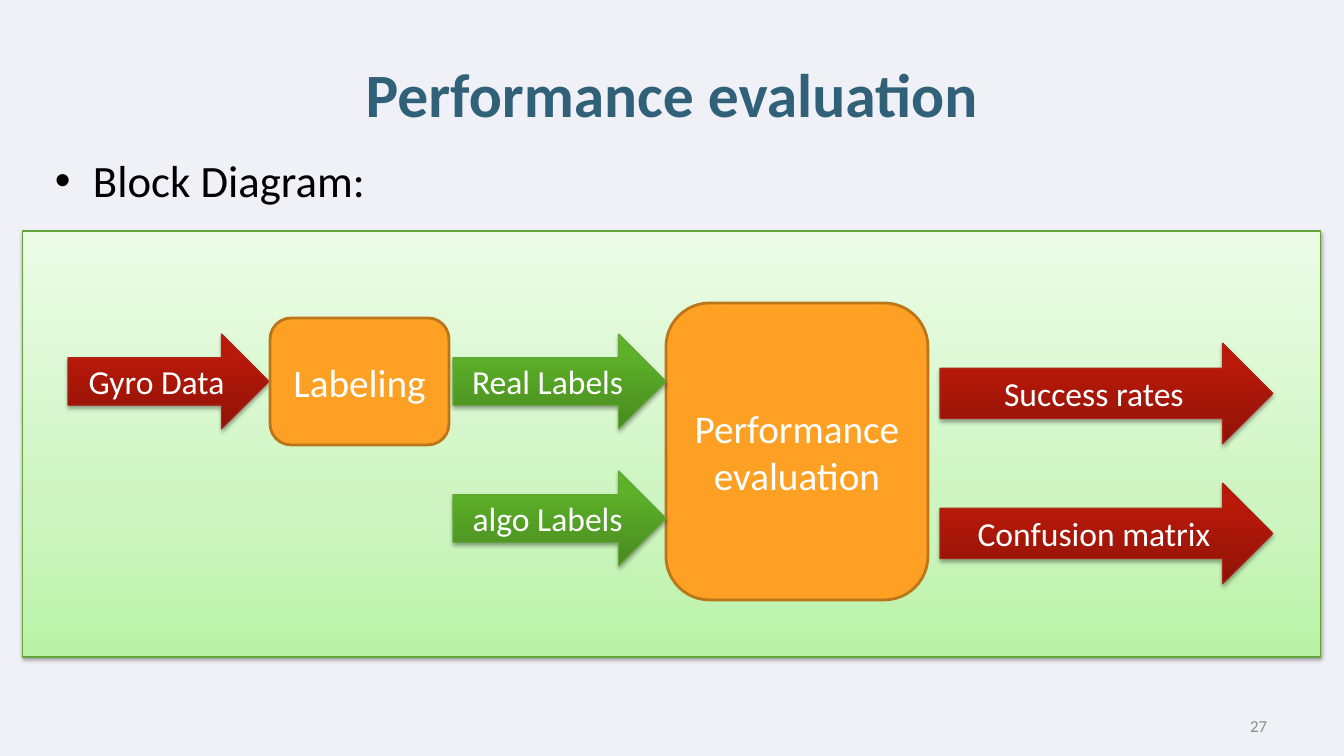
from lxml import etree
from pptx import Presentation
from pptx.dml.color import RGBColor
from pptx.enum import shapes, text
from pptx.oxml.ns import qn
from pptx.util import Pt

WIDTH, HEIGHT = 1344, 756
PX = 12192000 / WIDTH

BACKGROUND = RGBColor(0xEF, 0xF1, 0xF7)
TITLE = RGBColor(0x31, 0x61, 0x79)
BLACK = RGBColor(0, 0, 0)
WHITE = RGBColor(0xFF, 0xFF, 0xFF)
GREY = RGBColor(0x8C, 0x8C, 0x8C)
ORANGE = RGBColor(0xFD, 0xA0, 0x23)
BROWN = RGBColor(0xBB, 0x76, 0x1A)
GREEN = RGBColor(0x61, 0xA6, 0x37)
RED = RGBColor(0xAA, 0x27, 0x1A)


def stops(*pairs):
    return [(at, RGBColor.from_string(color)) for at, color in pairs]


# Gradient stops run from bottom to top.
PANEL_FILL = stops((0, "B9F2A6"), (35, "CEF5C1"), (100, "ECFCE7"))
RED_FILL = stops((0, "8F1307"), (80, "B91909"), (100, "BD1605"))
GREEN_FILL = stops((0, "488920"), (80, "5DB229"), (100, "5DB527"))


def add_color(parent, color, alpha=None):
    clr = etree.SubElement(parent, qn("a:srgbClr"), val=str(color))
    if alpha is not None:
        etree.SubElement(clr, qn("a:alpha"), val=str(alpha * 1000))


class Deck:
    font = "Calibri"
    center = text.PP_ALIGN.CENTER
    middle = text.MSO_ANCHOR.MIDDLE

    def __init__(self):
        self.prs = Presentation()
        self.prs.slide_width, self.prs.slide_height = self.emu(WIDTH, HEIGHT)
        self.s = self.prs.slides.add_slide(self.prs.slide_layouts[5])
        fill = self.s.background.fill
        fill.solid()
        fill.fore_color.rgb = BACKGROUND

    def emu(self, *lengths):
        return [round(n * PX) for n in lengths]

    def set_text(self, sp, words, size, color, align, anchor, bold=False):
        tf = sp.text_frame
        tf.word_wrap = True
        tf.vertical_anchor = anchor
        p = tf.paragraphs[0]
        p.alignment = align
        r = p.add_run()
        r.text = words
        formats = {"name": self.font, "size": Pt(size), "bold": bold}
        for name, value in formats.items():
            setattr(r.font, name, value)
        r.font.color.rgb = color
        return p

    def title(self, box, words):
        sp = self.s.shapes.title
        sides = ("left", "top", "width", "height")
        for name, value in zip(sides, self.emu(*box)):
            setattr(sp, name, value)
        self.set_text(sp, words, 44, TITLE, self.center, self.middle, bold=True)

    def label(self, box, *style):
        return self.set_text(self.s.shapes.add_textbox(*self.emu(*box)), *style)

    def bullet(self, box, words):
        p = self.label(box, words, 32, BLACK, text.PP_ALIGN.LEFT,
                       text.MSO_ANCHOR.TOP)
        pPr = p._p.get_or_add_pPr()
        indent, = self.emu(38)
        pPr.set("marL", str(indent))
        pPr.set("indent", str(-indent))
        etree.SubElement(pPr, qn("a:buFont"), typeface="Arial")
        etree.SubElement(pPr, qn("a:buChar"), char="•")

    def shape(self, kind, box, line, weight):
        sp = self.s.shapes.add_shape(kind, *self.emu(*box))
        sp.shadow.inherit = False
        sp.line.color.rgb = line
        sp.line.width = Pt(weight)
        return sp

    def raised(self, kind, box, gradient, line, alpha, distance):
        """Add a shape with a vertical gradient and a soft shadow below it."""
        sp = self.shape(kind, box, line, 0.75)
        sp.fill.gradient()
        sp.fill.gradient_angle = 90
        spPr = sp._element.spPr
        gsLst = spPr.find(".//" + qn("a:gsLst"))
        for gs in list(gsLst):
            gsLst.remove(gs)
        for at, color in gradient:
            add_color(etree.SubElement(gsLst, qn("a:gs"), pos=str(at * 1000)), color)
        shadow = etree.SubElement(
            spPr.find(qn("a:effectLst")), qn("a:outerShdw"),
            blurRad=str(Pt(3.1)), dist=str(Pt(distance)), dir="5400000",
            rotWithShape="0")
        add_color(shadow, BLACK, alpha)
        return sp

    def panel(self, box):
        self.raised(shapes.MSO_SHAPE.RECTANGLE, box, PANEL_FILL, GREEN, 38, 1.6)

    def arrow(self, box, words, gradient, line):
        sp = self.raised(shapes.MSO_SHAPE.RIGHT_ARROW, box, gradient, line, 35, 1.8)
        self.set_text(sp, words, 24, WHITE, self.center, self.middle)

    def block(self, box, words):
        sp = self.shape(shapes.MSO_SHAPE.ROUNDED_RECTANGLE, box, BROWN, 2)
        sp.fill.solid()
        sp.fill.fore_color.rgb = ORANGE
        self.set_text(sp, words, 28, WHITE, self.center, self.middle)


def main():
    deck = Deck()
    deck.title((67, 30, 1210, 126), "Performance evaluation")
    deck.bullet((45, 148, 1231, 70), "Block Diagram:")
    deck.label((964, 706, 313, 40), "27", 12, GREY, text.PP_ALIGN.RIGHT,
               deck.middle)
    deck.panel((23, 231, 1298, 426))
    deck.arrow((68, 334, 201, 95), "Gyro Data", RED_FILL, RED)
    deck.block((270, 318, 179, 127), "Labeling")
    deck.block((666, 303, 262, 297), "Performance evaluation")
    for i, words in enumerate(("Real Labels", "algo Labels")):
        deck.arrow((453, 334 + 137 * i, 213, 95), words, GREEN_FILL, GREEN)
    for i, words in enumerate(("Success rates", "Confusion matrix")):
        deck.arrow((940, 343 + 140 * i, 333, 101), words, RED_FILL, RED)
    deck.prs.save("out.pptx")


if __name__ == "__main__":
    main()
